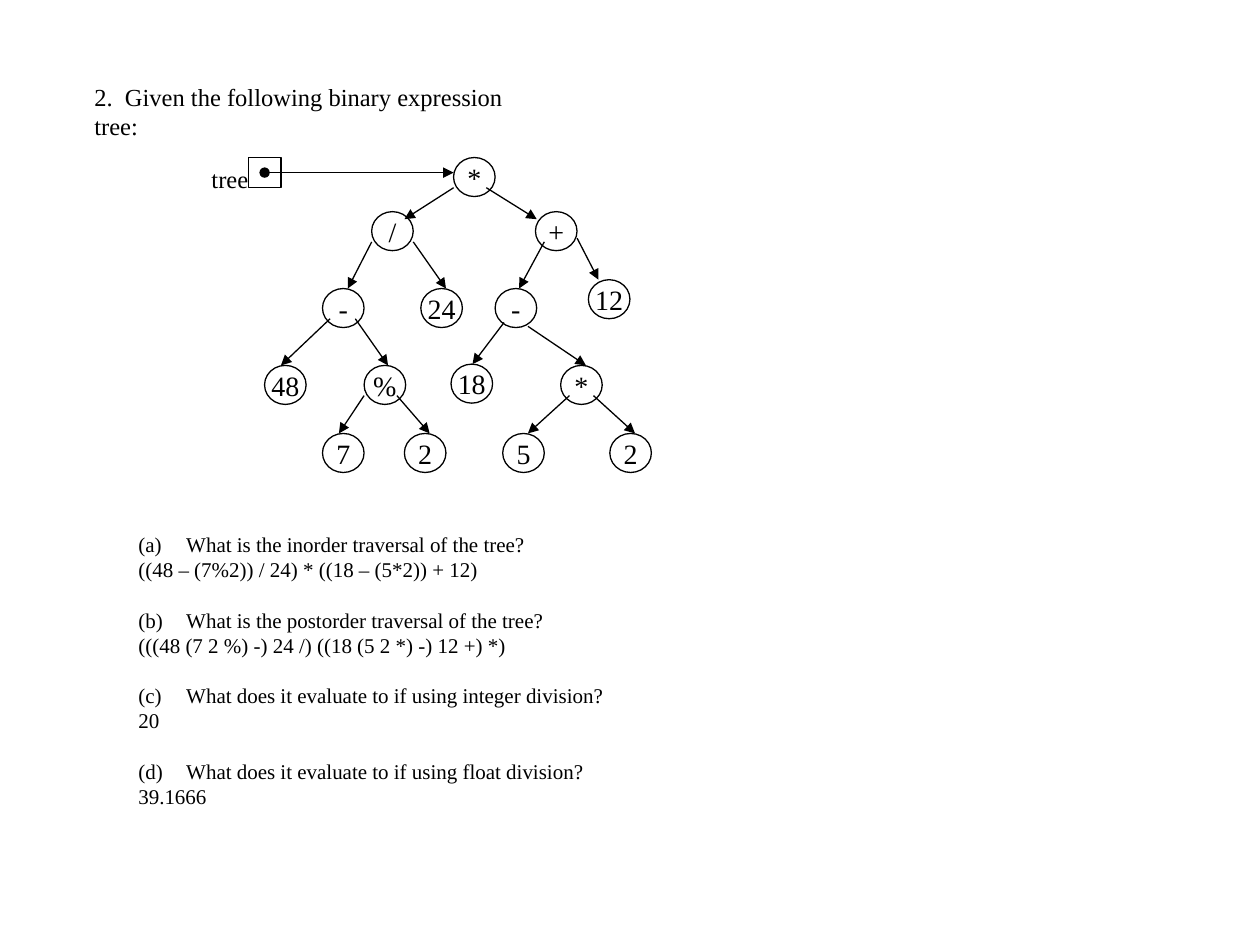
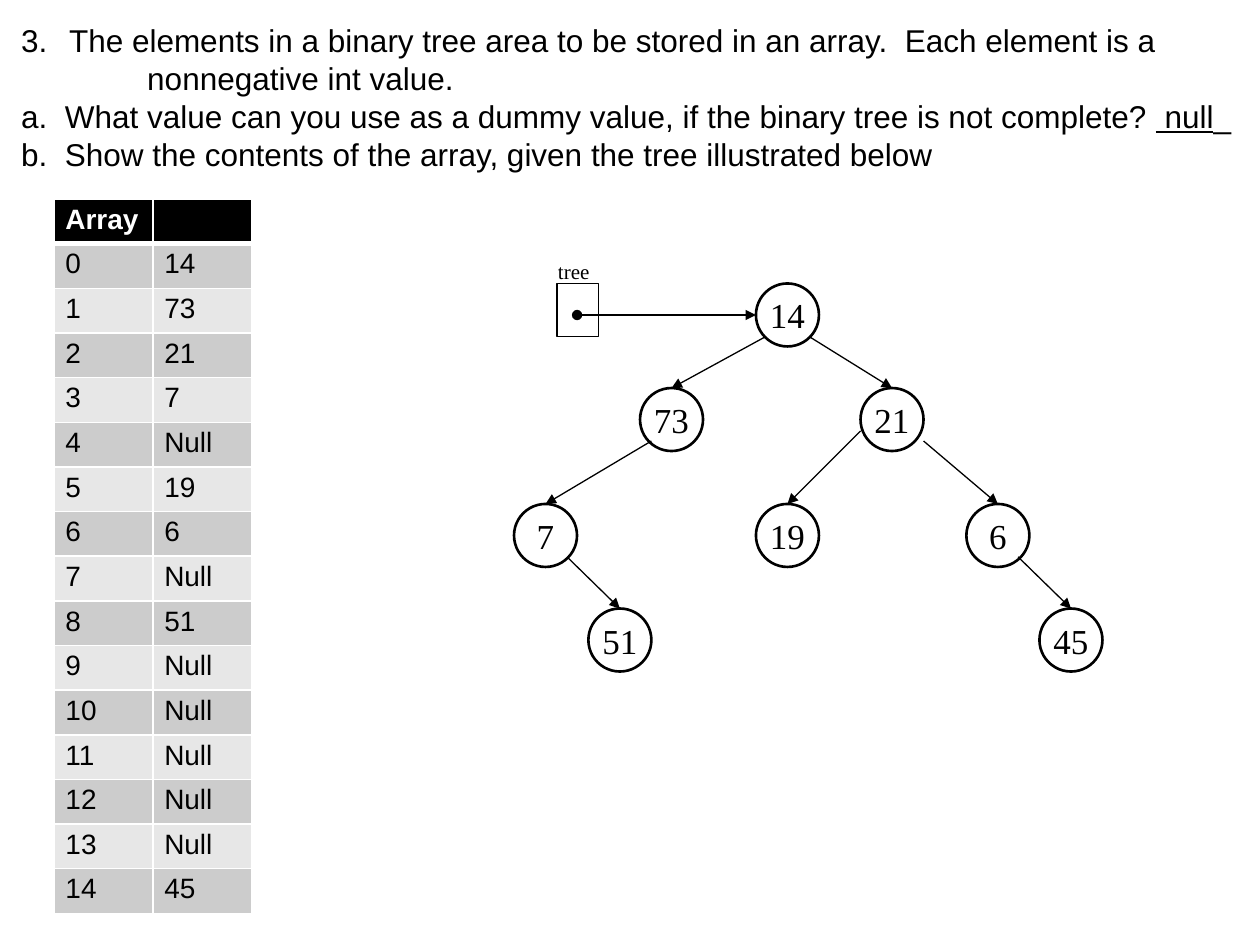
from dataclasses import dataclass
from typing import NamedTuple

from lxml.etree import SubElement
from pptx import Presentation
from pptx.dml.color import RGBColor
from pptx.enum.shapes import MSO_CONNECTOR, MSO_SHAPE
from pptx.enum.text import MSO_ANCHOR, PP_ALIGN
from pptx.oxml.ns import qn
from pptx.util import Emu, Inches, Pt


@dataclass(frozen=True)
class Theme:
    ink: str = "000000"
    paper: str = "FFFFFF"
    bands: tuple[str, str] = ("CCCCCC", "E7E7E7")
    serif: str = "Times New Roman"
    sans: str = "Arial"
    small: int = 12
    label: int = 14
    body: int = 16
    heading: int = 18
    value: int = 20
    line: float = 0.75
    ring: float = 1.5
    grid: float = 1
    header_rule: float = 3


class Box(NamedTuple):
    x: float
    y: float
    w: float
    h: float

    def lengths(self) -> list[Emu]:
        return [Inches(v) for v in self]


class Node(NamedTuple):
    text: str
    x: float
    y: float


class Edge(NamedTuple):
    x1: float
    y1: float
    x2: float
    y2: float


@dataclass(frozen=True)
class Para:
    runs: tuple[str, ...]
    number: str = ""
    start: int = 1
    margin: float = 0.38
    indent: float = -0.38
    level: int = 0
    before: float = 0
    underlined: int = -1


@dataclass(frozen=True)
class Tree:
    nodes: tuple[Node, ...]
    edges: tuple[Edge, ...]
    size: tuple[float, float]
    font_size: int
    ring: float
    pointer: Box
    pointer_edge: Edge
    caption: Box
    caption_size: int


THEME = Theme()


def add_run(p, text: str, font: str, size: int, color: str = THEME.ink, **extra) -> None:
    r = p.add_run()
    r.text = text
    for name, value in {"name": font, "size": Pt(size), **extra}.items():
        setattr(r.font, name, value)
    r.font.color.rgb = RGBColor.from_string(color)


def add_text(shapes, box: Box, paras: list[Para], font: str, size: int) -> None:
    tf = shapes.add_textbox(*box.lengths()).text_frame
    tf.word_wrap = True
    for i, para in enumerate(paras):
        p = tf.add_paragraph() if i else tf.paragraphs[0]
        p.level = para.level
        p.space_before = Pt(para.before)
        pPr = p._p.get_or_add_pPr()
        pPr.set("marL", str(Inches(para.margin)))
        pPr.set("indent", str(Inches(para.indent)))
        if para.number:
            SubElement(pPr, qn("a:buFont"), typeface=font)
            SubElement(pPr, qn("a:buAutoNum"), type=para.number, startAt=str(para.start))
        else:
            SubElement(pPr, qn("a:buNone"))
        for j, text in enumerate(para.runs):
            add_run(p, text, font, size, underline=j == para.underlined)


def add_outline(shapes, kind: MSO_SHAPE, box: Box, width: float):
    sp = shapes.add_shape(kind, *box.lengths())
    sp.shadow.inherit = False
    sp.fill.background()
    sp.line.color.rgb = RGBColor.from_string(THEME.ink)
    sp.line.width = Pt(width)
    return sp


def add_node(shapes, node: Node, tree: Tree) -> None:
    sp = add_outline(shapes, MSO_SHAPE.OVAL, Box(node.x, node.y, *tree.size), tree.ring)
    tf = sp.text_frame
    settings = {"word_wrap": False, "vertical_anchor": MSO_ANCHOR.MIDDLE, "margin_left": 0,
                "margin_right": 0, "margin_top": 0, "margin_bottom": 0}
    for name, value in settings.items():
        setattr(tf, name, value)
    p = tf.paragraphs[0]
    p.alignment = PP_ALIGN.CENTER
    add_run(p, node.text, THEME.serif, tree.font_size)


def add_arrow(shapes, edge: Edge, head: str = "none") -> None:
    cx = shapes.add_connector(MSO_CONNECTOR.STRAIGHT, *[Inches(v) for v in edge])
    cx.line.color.rgb = RGBColor.from_string(THEME.ink)
    cx.line.width = Pt(THEME.line)
    ln = cx.line._get_or_add_ln()
    SubElement(ln, qn("a:headEnd"), type=head)
    SubElement(ln, qn("a:tailEnd"), type="triangle")
    SubElement(cx._element.spPr, qn("a:effectLst"))


def draw_tree(shapes, tree: Tree) -> None:
    for node in tree.nodes:
        add_node(shapes, node, tree)
    for edge in tree.edges:
        add_arrow(shapes, edge)
    add_outline(shapes, MSO_SHAPE.RECTANGLE, tree.pointer, THEME.line)
    add_arrow(shapes, tree.pointer_edge, "oval")
    caption = Para(("tree",), margin=0, indent=0)
    add_text(shapes, tree.caption, [caption], THEME.serif, tree.caption_size)


def set_borders(cell, widths: dict[str, float]) -> None:
    tcPr = cell._tc.get_or_add_tcPr()
    for side, width in widths.items():
        ln = SubElement(tcPr, qn(f"a:ln{side}"), w=str(Pt(width)))
        fill = SubElement(ln, qn("a:solidFill"))
        SubElement(fill, qn("a:srgbClr"), val=THEME.paper)


def add_array_table(shapes, box: Box, values: list[str]) -> None:
    rows = [("Array", "")] + [(str(i), value) for i, value in enumerate(values)]
    table = shapes.add_table(len(rows), 2, *box.lengths()).table
    for row in table.rows:
        row.height = Inches(box.h / len(rows))
    for i, texts in enumerate(rows):
        header = i == 0
        color = THEME.paper if header else THEME.ink
        fill = THEME.ink if header else THEME.bands[(i - 1) % 2]
        for j, text in enumerate(texts):
            cell = table.cell(i, j)
            cell.margin_left = cell.margin_right = Inches(0.09)
            cell.margin_top = cell.margin_bottom = Inches(0.04)
            set_borders(cell, {"L": THEME.grid, "R": THEME.grid,
                               "T": THEME.header_rule if i == 1 else THEME.grid,
                               "B": THEME.header_rule if header else THEME.grid})
            cell.fill.solid()
            cell.fill.fore_color.rgb = RGBColor.from_string(fill)
            p = cell.text_frame.paragraphs[0]
            if text:
                add_run(p, text, THEME.sans, THEME.body, color, bold=header)
            else:
                SubElement(p._p, qn("a:endParaRPr"), sz=str(THEME.body * 100))


EXPRESSION_TREE = Tree(
    nodes=(
        Node("*", 3.6, 1.25), Node("/", 2.95, 1.68), Node("+", 4.25, 1.68),
        Node("-", 2.56, 2.29), Node("24", 3.34, 2.29), Node("-", 3.93, 2.29),
        Node("12", 4.67, 2.22), Node("48", 2.1, 2.9), Node("%", 2.89, 2.9),
        Node("18", 3.58, 2.89), Node("*", 4.45, 2.9), Node("7", 2.56, 3.44),
        Node("2", 3.21, 3.44), Node("5", 3.99, 3.44), Node("2", 4.84, 3.44),
    ),
    edges=(
        Edge(3.6, 1.49, 3.21, 1.74), Edge(3.86, 1.49, 4.26, 1.74),
        Edge(2.95, 1.92, 2.76, 2.29), Edge(3.28, 1.92, 3.54, 2.29),
        Edge(4.32, 1.92, 4.12, 2.29), Edge(4.58, 1.89, 4.75, 2.22),
        Edge(2.62, 2.53, 2.23, 2.9), Edge(2.82, 2.53, 3.08, 2.9),
        Edge(4, 2.56, 3.75, 2.89), Edge(4.19, 2.59, 4.65, 2.9),
        Edge(2.89, 3.14, 2.69, 3.44), Edge(3.15, 3.14, 3.41, 3.44),
        Edge(4.52, 3.14, 4.19, 3.44), Edge(4.71, 3.14, 5.04, 3.44),
    ),
    size=(0.33, 0.31), font_size=THEME.body, ring=THEME.line,
    pointer=Box(1.97, 1.25, 0.26, 0.24), pointer_edge=Edge(2.1, 1.37, 3.6, 1.37),
    caption=Box(1.58, 1.25, 0.49, 0.33), caption_size=THEME.label,
)

ARRAY_TREE = Tree(
    nodes=(
        Node("14", 6, 2.25), Node("73", 5.08, 3.08), Node("21", 6.83, 3.08),
        Node("7", 4.08, 4), Node("19", 6, 4), Node("6", 7.67, 4),
        Node("51", 4.67, 4.83), Node("45", 8.25, 4.83),
    ),
    edges=(
        Edge(6.08, 2.67, 5.33, 3.08), Edge(6.42, 2.67, 7.08, 3.08),
        Edge(5.17, 3.5, 4.33, 4), Edge(6.83, 3.42, 6.25, 4),
        Edge(7.33, 3.5, 7.92, 4), Edge(4.5, 4.42, 4.92, 4.83),
        Edge(8.08, 4.42, 8.5, 4.83),
    ),
    size=(0.5, 0.5), font_size=THEME.value, ring=THEME.ring,
    pointer=Box(4.42, 2.25, 0.33, 0.42), pointer_edge=Edge(4.58, 2.5, 6, 2.5),
    caption=Box(4.33, 2, 0.45, 0.3), caption_size=THEME.small,
)

QUESTIONS = (
    ("What is the inorder traversal of the tree?",
     "((48 – (7%2)) / 24) * ((18 – (5*2)) + 12)"),
    ("What is the postorder traversal of the tree?",
     "(((48 (7 2 %) -) 24 /) ((18 (5 2 *) -) 12 +) *)"),
    ("What does it evaluate to if using integer division?", "20"),
    ("What does it evaluate to if using float division?", "39.1666"),
)

ARRAY_INTRO = [
    Para(("The elements in a binary tree area to be stored in an array.  Each element is a ",),
         number="arabicPeriod", start=3),
    Para(("nonnegative int value.",), margin=1.38, level=1),
    Para(("a.  What value can you use as a dummy value, if the binary tree is not complete? ",
          " null", "_"), underlined=1),
    Para(("b.  Show the contents of the array, given the tree illustrated below",)),
]

ARRAY_VALUES = ["14", "73", "21", "7", "Null", "19", "6", "Null", "51",
                *["Null"] * 5, "45"]


def build_expression_slide(prs) -> None:
    shapes = prs.slides.add_slide(prs.slide_layouts[6]).shapes
    title = Para(("2.  Given the following binary expression tree:",), margin=0, indent=0)
    add_text(shapes, Box(0.65, 0.6, 3.75, 0.33), [title], THEME.serif, THEME.label)
    paras = []
    for i, (question, answer) in enumerate(QUESTIONS):
        paras.append(Para((question,), number="alphaLcParenBoth", start=i + 1,
                          before=14.4 if i else 0))
        paras.append(Para((answer,)))
    add_text(shapes, Box(1, 4.17, 3.94, 2.73), paras, THEME.serif, THEME.small)
    draw_tree(shapes.add_group_shape().shapes, EXPRESSION_TREE)


def build_array_slide(prs) -> None:
    shapes = prs.slides.add_slide(prs.slide_layouts[6]).shapes
    add_text(shapes, Box(0.07, 0.12, 9.89, 1.31), ARRAY_INTRO, THEME.sans, THEME.heading)
    draw_tree(shapes, ARRAY_TREE)
    add_array_table(shapes, Box(0.43, 1.58, 1.57, 5.67), ARRAY_VALUES)


prs = Presentation()
prs.slide_width, prs.slide_height = Inches(10), Inches(7.5)
build_expression_slide(prs)
build_array_slide(prs)
prs.save("out.pptx")
